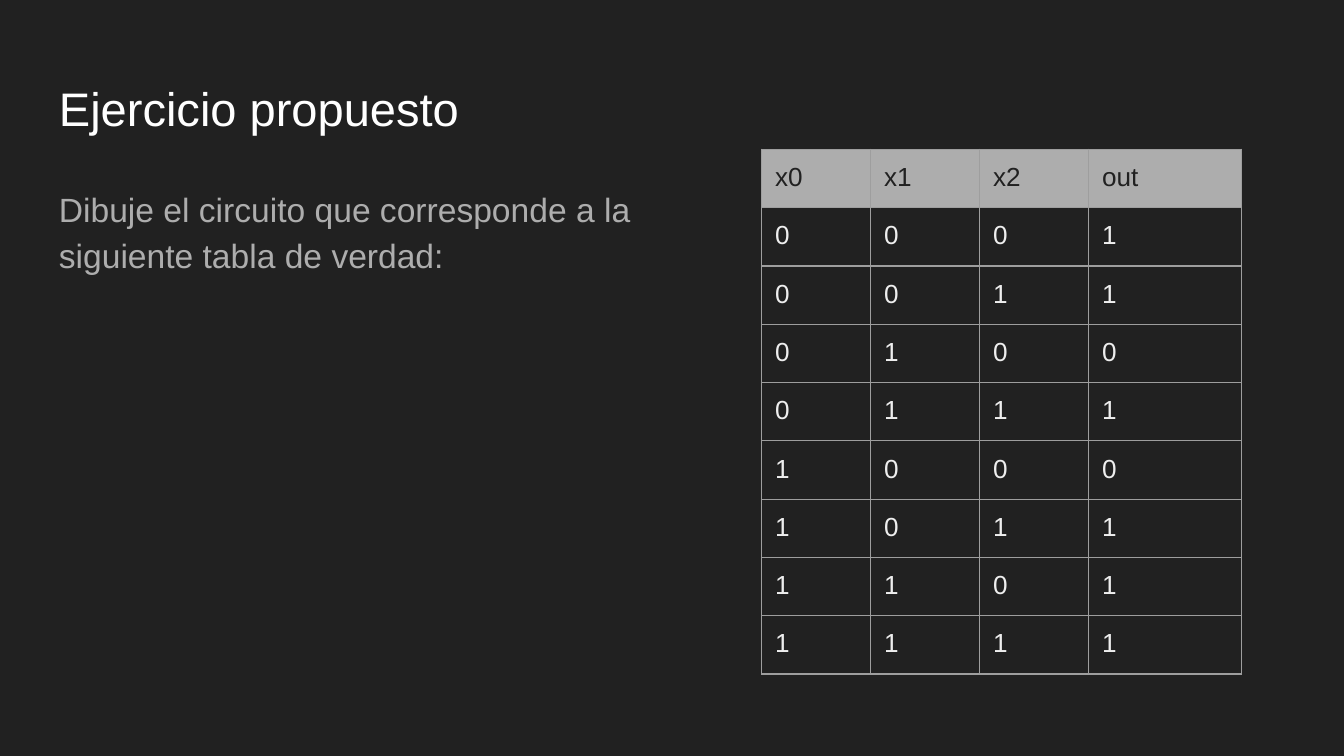
from itertools import product

from lxml import etree
from pptx import Presentation
from pptx.dml.color import RGBColor
from pptx.enum.text import MSO_ANCHOR
from pptx.oxml.ns import qn
from pptx.util import Pt

TOP, BOTTOM = MSO_ANCHOR.TOP, MSO_ANCHOR.BOTTOM

TITLE = "Ejercicio propuesto"
STATEMENT = "Dibuje el circuito que corresponde a la siguiente tabla de verdad:"
HEADER = ["x0", "x1", "x2", "out"]
OUTPUTS = "11010111"

FONT = "Arial"
DARK, GRAY, WHITE = "212121", "ADADAD", "FFFFFF"
CELL_TEXT, BORDER = "EEEEEE", "9E9E9E"
INSET = 7.2
COLUMN_WIDTHS = [58.4, 58.4, 58.4, 82]
ROW_HEIGHT = 30.15
TABLE_LEFT, TABLE_TOP = 408, 80


def color(value):
    return RGBColor.from_string(value)


def add_run(paragraph, text, size, text_color):
    run = paragraph.add_run()
    run.text = text
    run.font.name = FONT
    run.font.size = Pt(size)
    run.font.color.rgb = color(text_color)


def set_insets(target):
    """Give a text frame or a table cell the same margin on all sides."""
    target.margin_left = target.margin_right = Pt(INSET)
    target.margin_top = target.margin_bottom = Pt(INSET)


def add_text(slide, box, text, size, text_color, anchor):
    shape = slide.shapes.add_textbox(*(Pt(length) for length in box))
    frame = shape.text_frame
    frame.word_wrap = True
    frame.vertical_anchor = anchor
    set_insets(frame)
    paragraph = frame.paragraphs[0]
    add_run(paragraph, text, size, text_color)
    return paragraph


def add_borders(cell):
    properties = cell._tc.get_or_add_tcPr()
    for index, side in enumerate(("a:lnL", "a:lnR", "a:lnT", "a:lnB")):
        line = etree.Element(qn(side), w=str(Pt(0.75)))
        fill = etree.SubElement(line, qn("a:solidFill"))
        etree.SubElement(fill, qn("a:srgbClr"), val=BORDER)
        properties.insert(index, line)


def add_truth_table(slide):
    inputs = product("01", repeat=len(HEADER) - 1)
    rows = [HEADER] + [[*bits, out] for bits, out in zip(inputs, OUTPUTS)]
    table = slide.shapes.add_table(
        len(rows), len(HEADER), Pt(TABLE_LEFT), Pt(TABLE_TOP),
        Pt(sum(COLUMN_WIDTHS)), Pt(ROW_HEIGHT * len(rows))).table
    table.horz_banding = False
    for column, width in zip(table.columns, COLUMN_WIDTHS):
        column.width = Pt(width)
    for row_index, values in enumerate(rows):
        table.rows[row_index].height = Pt(ROW_HEIGHT)
        for column_index, value in enumerate(values):
            cell = table.cell(row_index, column_index)
            set_insets(cell)
            if row_index == 0:
                cell.fill.solid()
                cell.fill.fore_color.rgb = color(GRAY)
            else:
                cell.fill.background()
            add_borders(cell)
            add_run(cell.text_frame.paragraphs[0], value, 14,
                    DARK if row_index == 0 else CELL_TEXT)


presentation = Presentation()
presentation.slide_width, presentation.slide_height = Pt(720), Pt(405)
slide = presentation.slides.add_slide(presentation.slide_layouts[6])
slide.background.fill.solid()
slide.background.fill.fore_color.rgb = color(DARK)

add_text(slide, (24.5, 35, 671, 45), TITLE, 25.2, WHITE, BOTTOM)
statement = add_text(slide, (24.5, 90.7, 361, 269), STATEMENT, 18, GRAY, TOP)
statement.line_spacing = 1.15
statement.space_after = Pt(12)
add_truth_table(slide)

presentation.save("out.pptx")
